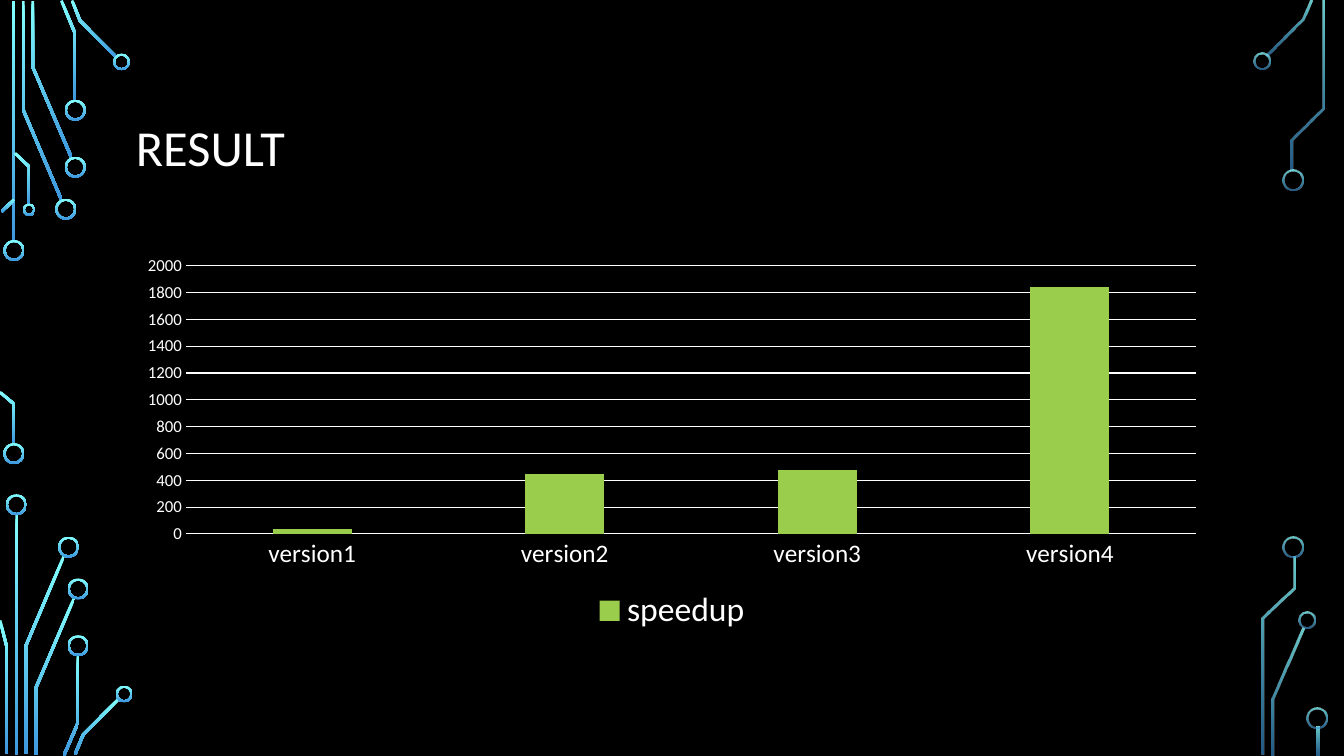
import math
from dataclasses import dataclass

from lxml import etree
from pptx import Presentation
from pptx.chart.data import CategoryChartData
from pptx.dml.color import RGBColor
from pptx.enum import chart as charts, shapes, text
from pptx.oxml.ns import qn
from pptx.util import Pt

COLORS = {"black": "000000", "white": "FFFFFF", "bar": "9ACD4C",
          "glow": "82FFFF", "deep": "3D97DE"}
FONT = "Calibri"
TRACE_WIDTH = 2
RING_WALL = 1.44
SOLID = (100, 100)
FADED = (80, 60)

Point = tuple[float, float]


@dataclass
class Trace:
    points: list[Point]
    opacity: tuple[int, int] = SOLID


@dataclass
class Ring:
    x: float
    y: float
    diameter: float = 15
    opacity: tuple[int, int] = SOLID


TRACES = [
    # Top left
    Trace([(9.7, 0.7), (9.7, 172.8)]),
    Trace([(44, 142.9), (16.6, 78.5), (16.6, 0.7)]),
    Trace([(51.1, 112.7), (23.4, 47.9), (23.4, 0.7)]),
    Trace([(53.6, 72), (53.6, 23.8), (43.9, 0.4)]),
    Trace([(83.2, 41), (57.2, 14.8), (51.5, 0.4)]),
    Trace([(1.1, 151.2), (10.1, 142.6)]),
    Trace([(10.1, 317.5), (10.1, 288.7), (0, 280.1)]),
    Trace([(20.9, 146.2), (20.9, 119.2), (10.8, 109.4)]),
    # Bottom left
    Trace([(11.9, 367.2), (11.9, 539.3)]),
    Trace([(45.7, 397.1), (18.4, 461.5), (18.4, 538.6)]),
    Trace([(0, 443.2), (4.7, 461.5), (4.7, 538.6)]),
    Trace([(52.9, 427.3), (25.6, 491.4), (25.6, 539.3)]),
    Trace([(55.8, 468), (55.8, 516.2), (45.7, 539.6)]),
    Trace([(85, 499), (59.4, 524.9), (53.6, 538.9)]),
    # Right
    Trace([(905, 40), (930.6, 14), (936.4, 0.4)], FADED),
    Trace([(909, 539.3), (909, 499.3), (931, 448.9)], FADED),
    Trace([(923, 121.7), (923, 99.7), (945, 77.4), (945, 0.7)], FADED),
    Trace([(901.8, 539.3), (901.8, 441.7), (924.1, 420.1), (924.1, 397.4)], FADED),
    Trace([(941.4, 519.1), (941.4, 539.3)], FADED),
]
RINGS = [
    # Top left
    Ring(10, 178.9), Ring(9.9, 324), Ring(47, 149.4), Ring(53.8, 119.4),
    Ring(53.8, 78.7), Ring(86.8, 44.2, 12), Ring(20.8, 149.8, 8.9),
    # Bottom left
    Ring(11.7, 360.5), Ring(49, 390.8), Ring(55.8, 420.7),
    Ring(55.8, 461.2), Ring(88.7, 495.7, 12),
    # Right
    Ring(901.4, 43.4, 12, FADED), Ring(923.3, 128.7, 15, FADED),
    Ring(933.4, 443, 12, FADED), Ring(923.8, 390.8, 15, FADED),
    Ring(940.5, 512.7, 15, FADED),
]


def color(name: str) -> RGBColor:
    return RGBColor.from_string(COLORS[name])


def style_font(font, size: float) -> None:
    font.name, font.size, font.bold = FONT, Pt(size), False
    font.color.rgb = color("white")


def paint(shape, opacity: tuple[int, int]) -> None:
    """Fill a shape with the vertical glow, without outline or shadow."""
    shape.shadow.inherit = False
    shape.line.fill.background()
    shape.fill.gradient()
    shape.fill.gradient_angle = 270
    for stop, name in zip(shape.fill.gradient_stops, ("glow", "deep")):
        stop.color.rgb = color(name)
    if opacity != SOLID:
        for node, percent in zip(shape._element.spPr.iter(qn("a:srgbClr")), opacity):
            etree.SubElement(node, qn("a:alpha")).set("val", str(percent * 1000))


def offset_side(points: list[Point], distance: float) -> list[Point]:
    """Shift a polyline sideways, with mitred corners."""
    angles = [math.atan2(y2 - y1, x2 - x1)
              for (x1, y1), (x2, y2) in zip(points, points[1:])]
    side = []
    for (x, y), before, after in zip(points, angles[:1] + angles, angles + angles[-1:]):
        turn = math.remainder(after - before, math.tau) / 2
        reach = distance / math.cos(turn)
        side.append((x - reach * math.sin(before + turn),
                     y + reach * math.cos(before + turn)))
    return side


def draw_trace(page, trace: Trace) -> None:
    half = TRACE_WIDTH / 2
    outline = offset_side(trace.points, half) + offset_side(trace.points, -half)[::-1]
    corners = [(Pt(x), Pt(y)) for x, y in outline]
    builder = page.shapes.build_freeform(*corners[0])
    builder.add_line_segments(corners[1:], close=True)
    paint(builder.convert_to_shape(), trace.opacity)


def draw_ring(page, ring: Ring) -> None:
    size, radius = Pt(ring.diameter), ring.diameter / 2
    donut = page.shapes.add_shape(shapes.MSO_SHAPE.DONUT, Pt(ring.x - radius),
                                  Pt(ring.y - radius), size, size)
    donut.adjustments[0] = RING_WALL / ring.diameter
    paint(donut, ring.opacity)


def add_title(page) -> None:
    box = page.shapes.add_textbox(Pt(90), Pt(49), Pt(780), Pt(116.6))
    frame = box.text_frame
    frame.word_wrap = True
    frame.vertical_anchor = text.MSO_ANCHOR.MIDDLE
    para = frame.paragraphs[0]
    para.text = "RESULT"
    para.line_spacing = 0.9
    style_font(para.font, 36)


def add_speedup_chart(page) -> None:
    data = CategoryChartData()
    data.categories = [f"version{number}" for number in range(1, 5)]
    data.add_series("speedup", (40, 450, 480, 1840))
    chart = page.shapes.add_chart(charts.XL_CHART_TYPE.COLUMN_CLUSTERED, Pt(90),
                                  Pt(177.1), Pt(780), Pt(278.6), data).chart
    style_font(chart.font, 10)
    chart.has_title = False

    # Bars
    plot = chart.plots[0]
    plot.gap_width, plot.overlap, plot.vary_by_categories = 219, -27, False
    bars = plot.series[0].format
    bars.fill.solid()
    bars.fill.fore_color.rgb = color("bar")

    # Axes
    values, versions = chart.value_axis, chart.category_axis
    for axis, size in ((values, 12), (versions, 18)):
        axis.major_tick_mark = axis.minor_tick_mark = charts.XL_TICK_MARK.NONE
        style_font(axis.tick_labels.font, size)
    values.minimum_scale, values.maximum_scale, values.major_unit = 0, 2000, 200
    values.format.line.fill.background()
    for line in (versions.format.line, values.major_gridlines.format.line):
        line.color.rgb, line.width = color("white"), Pt(0.75)

    # Legend
    chart.has_legend = True
    chart.legend.position = charts.XL_LEGEND_POSITION.BOTTOM
    chart.legend.include_in_layout = False
    style_font(chart.legend.font, 24)


def main() -> None:
    deck = Presentation()
    deck.slide_width, deck.slide_height = Pt(960), Pt(540)
    page = deck.slides.add_slide(deck.slide_layouts[6])
    page.background.fill.solid()
    page.background.fill.fore_color.rgb = color("black")
    for trace in TRACES:
        draw_trace(page, trace)
    for ring in RINGS:
        draw_ring(page, ring)
    add_title(page)
    add_speedup_chart(page)
    deck.save("out.pptx")


if __name__ == "__main__":
    main()
